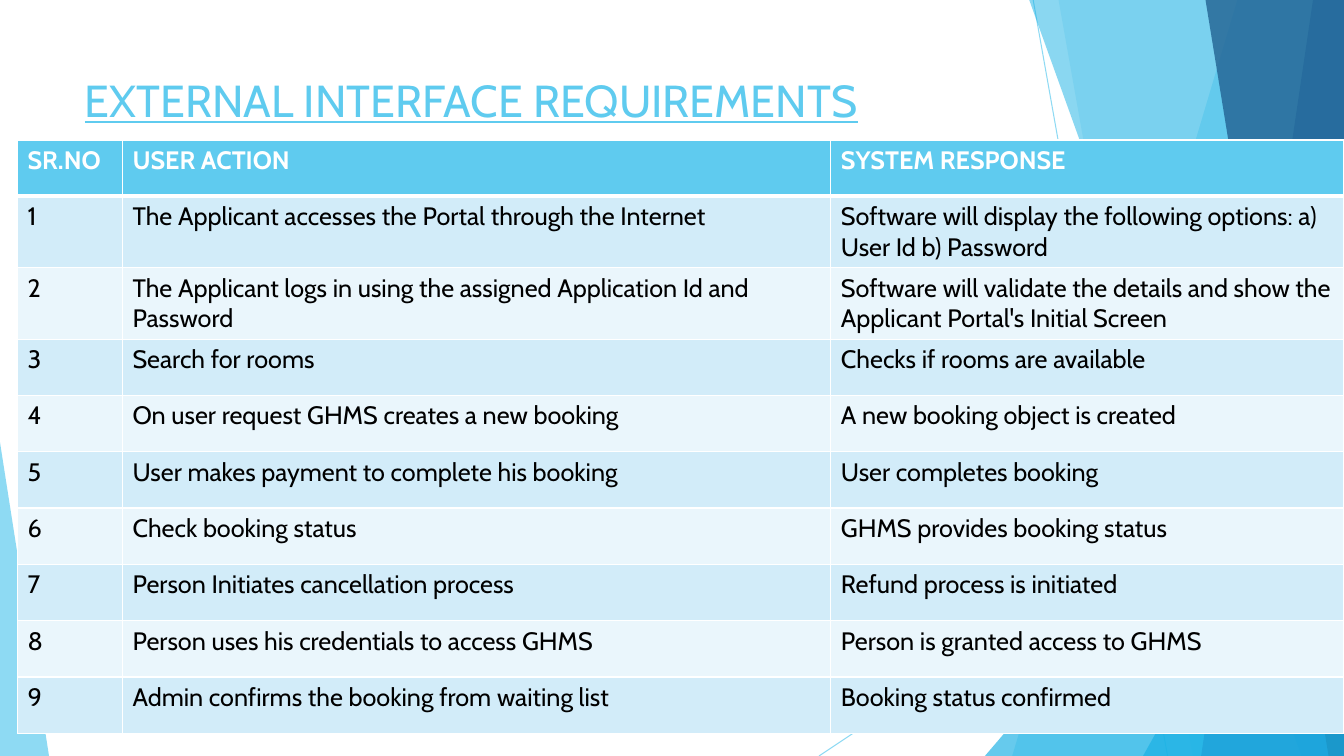
from dataclasses import dataclass

from lxml.etree import SubElement
from pptx import Presentation
from pptx.dml.color import RGBColor as RGB
from pptx.enum.shapes import MSO_CONNECTOR as Conn, MSO_SHAPE as Shape
from pptx.enum.text import MSO_ANCHOR as Anchor
from pptx.oxml.ns import qn
from pptx.util import Pt


@dataclass(frozen=True)
class Theme:
    font: str = "Cabin"
    title_size: int = 32
    table_size: int = 18
    sky: str = "5FCBEF"
    cyan: str = "17B0E4"
    blue: str = "2E83C3"
    navy: str = "226292"
    band_dark: str = "D2ECF9"
    band_light: str = "EAF6FC"
    white: str = "FFFFFF"
    black: str = "000000"


WIDTH, HEIGHT = 960, 540
BLEED_TOP = -0.6

HEADERS = ("SR.NO", "USER ACTION", "SYSTEM RESPONSE")
COLUMN_WIDTHS = (75, 506, 366.5)
ROW_HEIGHT, TALL_ROW_HEIGHT = 40.25, 51
TALL_ROWS = (1, 2)
INTERACTIONS = (
    ("The Applicant accesses the Portal through the Internet",
     "Software will display the following options: a) User Id b) Password"),
    ("The Applicant logs in using the assigned Application Id and Password",
     "Software will validate the details and show the Applicant Portal's Initial Screen"),
    ("Search for rooms", "Checks if rooms are available"),
    ("On user request GHMS creates a new booking", "A new booking object is created"),
    ("User makes payment to complete his booking", "User completes booking"),
    ("Check booking status", "GHMS provides booking status"),
    ("Person Initiates cancellation process", "Refund process is initiated"),
    ("Person uses his credentials to access GHMS", "Person is granted access to GHMS"),
    ("Admin confirms the booking from waiting list", "Booking status confirmed"),
)


class SlideBuilder:
    def __init__(self, slide, theme):
        self.s = slide
        self.theme = theme

    def set_alpha(self, fill, percent):
        color = fill._xPr.find(qn("a:solidFill"))[0]
        SubElement(color, qn("a:alpha"), val=str(percent * 1000))

    def paint(self, sp, color, alpha):
        sp.shadow.inherit = False
        sp.fill.solid()
        sp.fill.fore_color.rgb = RGB.from_string(color)
        self.set_alpha(sp.fill, alpha)
        sp.line.fill.background()

    def line(self, x1, y1, x2, y2):
        cx = self.s.shapes.add_connector(Conn.STRAIGHT, Pt(x1), Pt(y1), Pt(x2), Pt(y2))
        cx.line.width = Pt(0.75)
        cx.line.color.rgb = RGB.from_string(self.theme.sky)
        self.set_alpha(cx.line.fill, 70)
        SubElement(cx._element.spPr, qn("a:effectLst"))

    def facet(self, top_x, bottom_x, color, alpha):
        fb = self.s.shapes.build_freeform(Pt(top_x), Pt(BLEED_TOP), scale=1.0)
        corners = ((WIDTH, BLEED_TOP), (WIDTH, HEIGHT), (bottom_x, HEIGHT))
        fb.add_line_segments([(Pt(x), Pt(y)) for x, y in corners], close=True)
        self.paint(fb.convert_to_shape(), color, alpha)

    def triangle(self, x, y, w, apex, color, alpha):
        sp = self.s.shapes.add_shape(
            Shape.ISOSCELES_TRIANGLE, Pt(x), Pt(y), Pt(w), Pt(HEIGHT - y))
        sp.adjustments[0] = apex
        self.paint(sp, color, alpha)

    def style_run(self, r, size, color, bold=False):
        r.font.name = self.theme.font
        r.font.size = Pt(size)
        r.font.bold = bold
        r.font.color.rgb = RGB.from_string(color)

    def title(self, text, x, y, w, h):
        tf = self.s.shapes.add_textbox(Pt(x), Pt(y), Pt(w), Pt(h)).text_frame
        tf.word_wrap = True
        tf.vertical_anchor = Anchor.TOP
        tf.text = text
        r = tf.paragraphs[0].runs[0]
        self.style_run(r, self.theme.title_size, self.theme.sky)
        r.font.underline = True

    def cell_borders(self, cell, bottom):
        tcPr = cell._tc.get_or_add_tcPr()
        for i, (side, width) in enumerate(
                (("lnL", 1), ("lnR", 1), ("lnT", 1), ("lnB", bottom))):
            ln = tcPr.makeelement(qn(f"a:{side}"), {"w": str(Pt(width))})
            fill = SubElement(ln, qn("a:solidFill"))
            SubElement(fill, qn("a:srgbClr"), val=self.theme.white)
            tcPr.insert(i, ln)

    def cell(self, cell, text, fill, color, header):
        cell.text_frame.text = text
        self.style_run(cell.text_frame.paragraphs[0].runs[0],
                       self.theme.table_size, color, header)
        cell.fill.solid()
        cell.fill.fore_color.rgb = RGB.from_string(fill)
        self.cell_borders(cell, 3 if header else 1)

    def table(self, rows, x, y):
        t = self.theme
        heights = [TALL_ROW_HEIGHT if i in TALL_ROWS else ROW_HEIGHT
                   for i in range(len(rows))]
        table = self.s.shapes.add_table(
            len(rows), len(COLUMN_WIDTHS), Pt(x), Pt(y),
            Pt(sum(COLUMN_WIDTHS)), Pt(sum(heights))).table
        table.horz_banding = False
        for column, width in zip(table.columns, COLUMN_WIDTHS):
            column.width = Pt(width)
        for i, row in enumerate(rows):
            table.rows[i].height = Pt(heights[i])
            header = i == 0
            band = t.band_dark if i % 2 else t.band_light
            fill, color = (t.sky, t.white) if header else (band, t.black)
            for j, text in enumerate(row):
                self.cell(table.cell(i, j), text, fill, color, header)


def main():
    prs = Presentation()
    prs.slide_width, prs.slide_height = Pt(WIDTH), Pt(HEIGHT)
    theme = Theme()
    b = SlideBuilder(prs.slides.add_slide(prs.slide_layouts[6]), theme)

    b.line(738, 0, 834, HEIGHT)
    b.line(WIDTH, 290, 585, HEIGHT)
    b.facet(884, 723, theme.sky, 36)
    b.facet(756, 852, theme.sky, 20)
    b.triangle(703.5, 240, 256.5, 1, theme.cyan, 66)
    b.facet(735, 929.5, theme.cyan, 50)
    b.facet(938, 858, theme.blue, 70)
    b.facet(861, 949, theme.navy, 80)
    b.triangle(816.5, 283, 143.5, 1, theme.cyan, 66)
    b.triangle(0, 316, 35, 0, theme.sky, 70)

    b.title("EXTERNAL INTERFACE REQUIREMENTS", 53.5, 48.5, 677, 52)
    rows = [HEADERS] + [(str(n), *pair) for n, pair in enumerate(INTERACTIONS, 1)]
    b.table(rows, 12.5, 100)
    prs.save("out.pptx")


if __name__ == "__main__":
    main()
